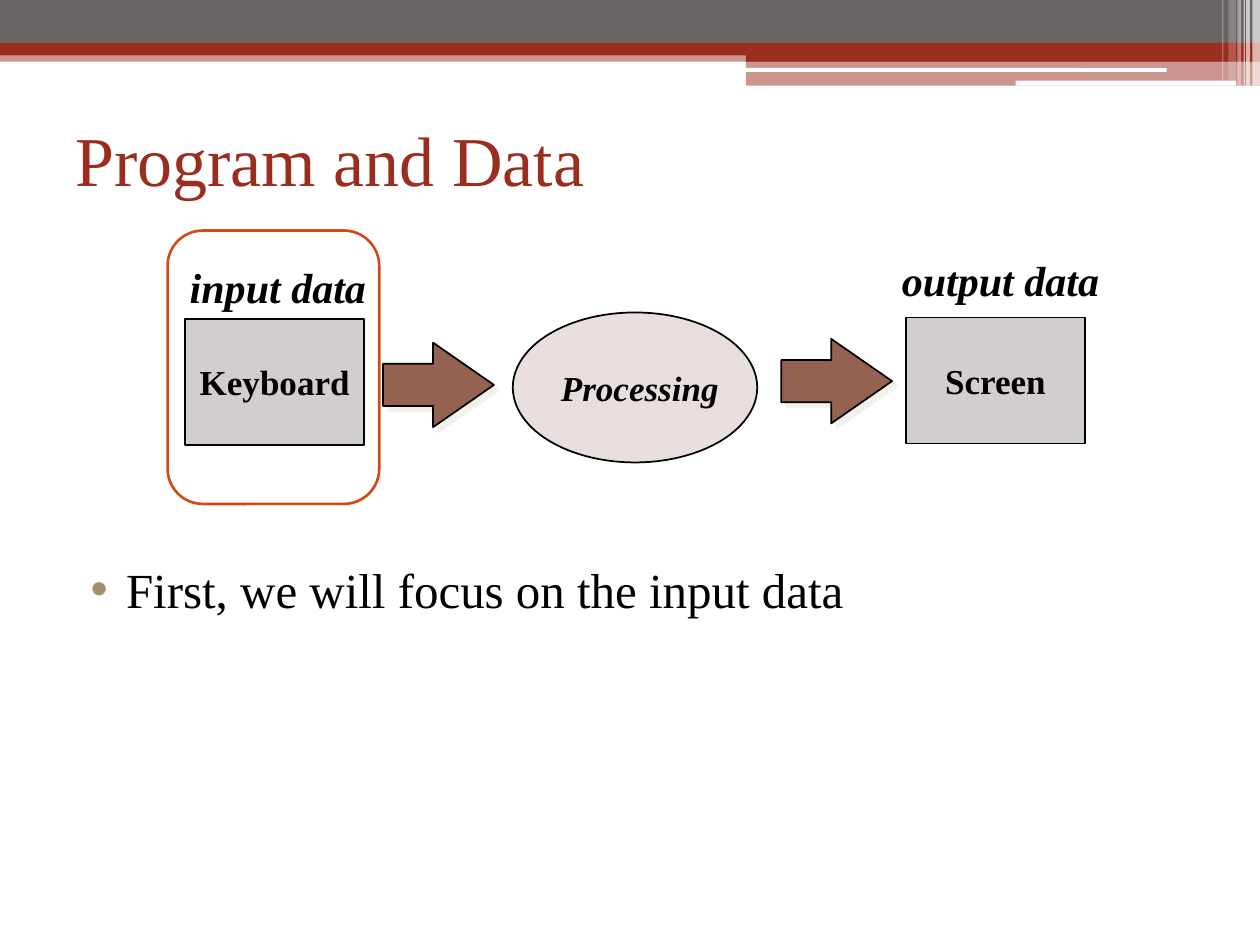
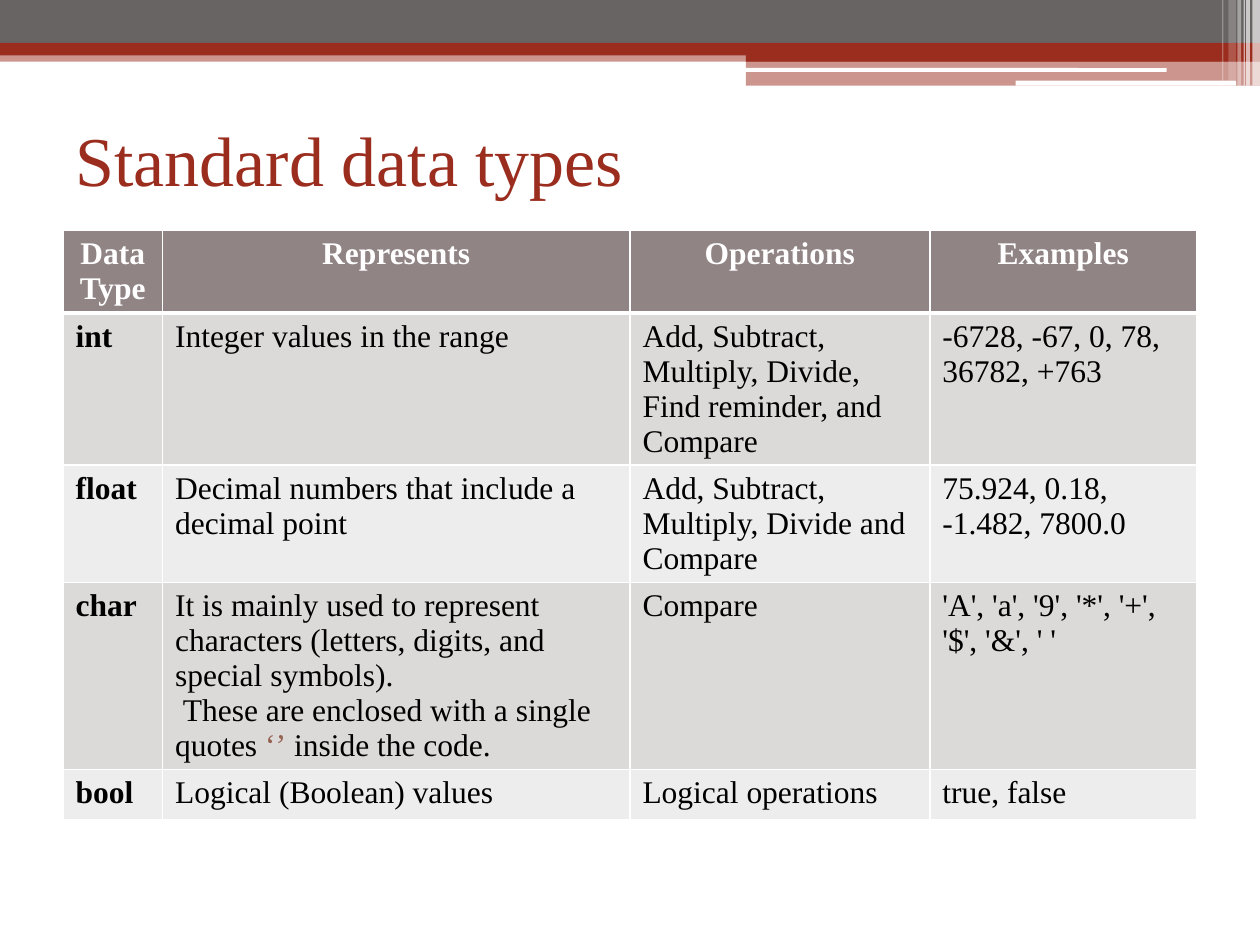
from typing import NamedTuple

from lxml.etree import SubElement
from pptx import Presentation
from pptx.dml.color import RGBColor
from pptx.enum.shapes import MSO_SHAPE
from pptx.enum.text import MSO_ANCHOR, PP_ALIGN
from pptx.oxml.ns import qn
from pptx.util import Inches, Pt

FONT = "Times New Roman"
COLUMNS, ROWS = 100, 75
SLIDE_WIDTH, SLIDE_HEIGHT = Inches(10), Inches(7.5)
RED, GREY, WHITE, BLACK = "9B2D1F", "696464", "FFFFFF", "000000"
TERRACOTTA, ORANGE, SAND, CREAM = "956251", "D34817", "A28E6A", "E9E5DC"
DEVICE_FILL, PROCESS_FILL = "D3CECE", "E8DEDE"
HEADER_FILL, ROW_FILLS = "918485", ("DCD9D9", "EEEDED")


class Box(NamedTuple):
    """A region measured in columns and rows of the slide grid."""
    left: float
    top: float
    width: float
    height: float

    def inner(self, left, top, width, height):
        return Box(self.left + left, self.top + top, width, height)

    def lengths(self):
        column, row = SLIDE_WIDTH / COLUMNS, SLIDE_HEIGHT / ROWS
        return (round(self.left * column), round(self.top * row),
                round(self.width * column), round(self.height * row))


SLIDE = Box(0, 0, COLUMNS, ROWS)
TITLE = SLIDE.inner(5, 6.7, 90, 11.7)
DIAGRAM = SLIDE.inner(13.3, 18.3, 75, 21.7)
FOCUS_LIST = SLIDE.inner(5, 43.9, 90, 26)
TYPE_TABLE = SLIDE.inner(5, 18.3, 90, 46.6)

# left, top, width, height, colour, opacity in percent
BANDS = [
    (0, 4, 100, 0.9, RED, 50),
    (0, 0, 100, 3.4, GREY, 100),
    (0, 3.4, 100, 1, RED, 100),
    (59.2, 3.9, 40.8, 1, RED, 100),
    (59.2, 4.8, 40.8, 2, RED, 50),
]
ROUNDED_LINES = [
    (59.1, 5.4, 33.5, 0.3, WHITE, 100),
    (80.6, 6.4, 17.5, 0.4, WHITE, 100),
]
STRIPES = [
    (99.4, 0, 0.6, 6.8, WHITE, 65),
    (98.9, 0, 0.3, 6.8, WHITE, 65),
    (98.7, 0, 0.1, 6.8, WHITE, 60),
    (98.2, 0, 0.3, 6.8, WHITE, 40),
    (97.5, 0, 0.6, 6.4, WHITE, 20),
    (97, 0, 0.1, 6.4, WHITE, 30),
]

TYPE_COLUMNS = (7.9, 37.1, 23.8, 21.2)
TYPE_ROWS = (6.5, 12, 9.3, 14.8, 4)
TYPE_HEADERS = ("Data Type", "Represents", "Operations", "Examples")
QUOTES = "‘’"
DATA_TYPES = [
    ("int", "Integer values in the range",
     "Add, Subtract, Multiply, Divide, Find reminder, and Compare",
     "-6728, -67, 0, 78, 36782, +763"),
    ("float", "Decimal numbers that include a decimal point",
     "Add, Subtract, Multiply, Divide and Compare",
     "75.924, 0.18, -1.482, 7800.0"),
    ("char",
     "It is mainly used to represent characters (letters, digits, and "
     "special symbols).\n"
     "These are enclosed with a single quotes ‘’ inside the code.",
     "Compare", "'A', 'a', '9', '*', '+', '$', '&', ' '"),
    ("bool", "Logical (Boolean) values", "Logical operations", "true, false"),
]


def rgb(color):
    return RGBColor.from_string(color)


def set_opacity(color_element, percent):
    SubElement(color_element, qn("a:alpha"), val=str(percent * 1000))


def format_font(font, size, color=BLACK, **formats):
    settings = {"name": FONT, "size": Pt(size), **formats}
    for attribute, value in settings.items():
        setattr(font, attribute, value)
    font.color.rgb = rgb(color)


def place(shape, box):
    for side, length in zip(("left", "top", "width", "height"), box.lengths()):
        setattr(shape, side, length)


def add_figure(slide, kind, box, fill=None, line=None, weight=1):
    figure = slide.shapes.add_shape(kind, *box.lengths())
    figure.shadow.inherit = False
    if fill:
        figure.fill.solid()
        figure.fill.fore_color.rgb = rgb(fill)
    else:
        figure.fill.background()
    if line:
        figure.line.color.rgb = rgb(line)
        figure.line.width = Pt(weight)
    else:
        figure.line.fill.background()
    return figure


def write_line(shape, text, size, align=PP_ALIGN.CENTER, **formats):
    frame = shape.text_frame
    frame.word_wrap = False
    paragraph = frame.paragraphs[0]
    paragraph.text = text
    paragraph.alignment = align
    format_font(paragraph.font, size, bold=True, **formats)


def add_master_bands(prs, slide):
    """Draw the top bands on the slide, then move them behind the master."""
    groups = ((MSO_SHAPE.RECTANGLE, BANDS),
              (MSO_SHAPE.ROUNDED_RECTANGLE, ROUNDED_LINES),
              (MSO_SHAPE.RECTANGLE, STRIPES))
    bands = [(kind, band) for kind, group in groups for band in group]
    master_tree = prs.slide_master.shapes.element
    for order, (kind, (*position, color, opacity)) in enumerate(bands):
        band = add_figure(slide, kind, SLIDE.inner(*position), color)
        if opacity < 100:
            set_opacity(band.element.spPr.find(".//" + qn("a:srgbClr")), opacity)
        band.element.nvSpPr.cNvPr.id = 100 + order
        master_tree.insert(2 + order, band.element)


def add_title(slide, text, box):
    title = slide.shapes.title
    place(title, box)
    title.text_frame.vertical_anchor = MSO_ANCHOR.MIDDLE
    paragraph = title.text_frame.paragraphs[0]
    paragraph.text = text
    paragraph.alignment = PP_ALIGN.LEFT
    format_font(paragraph.font, 40, RED)


def add_focus_list(slide, text, box):
    focus = slide.placeholders[1]
    place(focus, box)
    paragraph = focus.text_frame.paragraphs[0]
    paragraph.text = text
    paragraph.alignment = PP_ALIGN.JUSTIFY
    paragraph.space_before = Pt(0)
    properties = paragraph._p.get_or_add_pPr()
    properties.set("marL", str(Inches(0.4)))
    properties.set("indent", str(Inches(-0.28)))
    bullet_color = SubElement(properties, qn("a:buClr"))
    SubElement(bullet_color, qn("a:srgbClr"), val=SAND)
    SubElement(properties, qn("a:buFont"), typeface="Arial")
    SubElement(properties, qn("a:buChar"), char="•")
    format_font(paragraph.font, 28)


def add_device(slide, text, box):
    device = add_figure(slide, MSO_SHAPE.RECTANGLE, box, DEVICE_FILL, BLACK)
    write_line(device, text, 20)


def add_data_label(slide, text, box):
    label = slide.shapes.add_textbox(*box.lengths())
    write_line(label, text, 24, italic=True)


def add_flow_arrow(slide, box):
    arrow = add_figure(slide, MSO_SHAPE.RIGHT_ARROW, box, TERRACOTTA, BLACK)
    arrow.adjustments[1] = 0.72
    effects = arrow.element.spPr.find(qn("a:effectLst"))
    shadow = SubElement(effects, qn("a:outerShdw"), dist=str(Pt(4.2)),
                        dir=str(45 * 60000), algn="ctr", rotWithShape="0")
    set_opacity(SubElement(shadow, qn("a:srgbClr"), val=CREAM), 50)


def add_data_flow(slide, box):
    processing = add_figure(slide, MSO_SHAPE.OVAL,
                            box.inner(27.4, 6.5, 19.4, 11.9), PROCESS_FILL, BLACK)
    write_line(processing, "Processing", 20, PP_ALIGN.LEFT, italic=True)
    add_device(slide, "Keyboard", box.inner(1.4, 7, 14.2, 10))
    add_data_label(slide, "input data", box.inner(0.7, 2, 16.1, 5))
    add_data_label(slide, "output data", box.inner(57.2, 1.4, 17.8, 5))
    for left, top in ((48.7, 8.6), (17.1, 8.9)):
        add_flow_arrow(slide, box.inner(left, top, 8.8, 6.7))
    add_device(slide, "Screen", box.inner(58.6, 6.9, 14.2, 10))
    add_figure(slide, MSO_SHAPE.ROUNDED_RECTANGLE, box.inner(0, 0, 16.8, 21.7),
               line=ORANGE, weight=1.5)


def set_borders(cell, top=1, bottom=1):
    properties = cell._tc.get_or_add_tcPr()
    for side, weight in {"L": 1, "R": 1, "T": top, "B": bottom}.items():
        border = SubElement(properties, qn("a:ln" + side), w=str(Pt(weight)))
        fill = SubElement(border, qn("a:solidFill"))
        SubElement(fill, qn("a:srgbClr"), val=WHITE)


def write_cell(cell, text, color, bold, align):
    """Write one paragraph per line, with the quotation marks in terracotta."""
    frame = cell.text_frame
    for number, line in enumerate(text.split("\n")):
        paragraph = frame.add_paragraph() if number else frame.paragraphs[0]
        paragraph.alignment = align
        if number:
            paragraph._p.get_or_add_pPr().set("indent", str(Pt(4.5)))
        before, quotes, after = line.partition(QUOTES)
        for words, shade in ((before, color), (quotes, TERRACOTTA), (after, color)):
            if words:
                run = paragraph.add_run()
                run.text = words
                format_font(run.font, 18, shade, bold=bold)


def add_type_table(slide, box):
    table = slide.shapes.add_table(len(TYPE_ROWS), len(TYPE_COLUMNS),
                                   *box.lengths()).table
    table.first_row = table.horz_banding = False
    for column, width in zip(table.columns, TYPE_COLUMNS):
        column.width = round(width * SLIDE_WIDTH / COLUMNS)
    for row, height in zip(table.rows, TYPE_ROWS):
        row.height = round(height * SLIDE_HEIGHT / ROWS)
    for r, texts in enumerate([TYPE_HEADERS, *DATA_TYPES]):
        header = r == 0
        for c, text in enumerate(texts):
            cell = table.cell(r, c)
            set_borders(cell, top=3 if r == 1 else 1, bottom=3 if header else 1)
            cell.fill.solid()
            cell.fill.fore_color.rgb = rgb(
                HEADER_FILL if header else ROW_FILLS[(r - 1) % 2])
            write_cell(cell, text, WHITE if header else BLACK,
                       bold=header or c == 0,
                       align=PP_ALIGN.CENTER if header else PP_ALIGN.LEFT)


def build_data_flow_slide(slide):
    add_title(slide, "Program and Data", TITLE)
    add_focus_list(slide, "First, we will focus on the input data", FOCUS_LIST)
    add_data_flow(slide, DIAGRAM)


def build_data_types_slide(slide):
    add_title(slide, "Standard data types", TITLE)
    add_type_table(slide, TYPE_TABLE)


def main():
    prs = Presentation()
    prs.slide_width, prs.slide_height = SLIDE_WIDTH, SLIDE_HEIGHT
    title_and_content = prs.slide_layouts.get_by_name("Title and Content")
    title_only = prs.slide_layouts.get_by_name("Title Only")
    data_flow = prs.slides.add_slide(title_and_content)
    add_master_bands(prs, data_flow)
    build_data_flow_slide(data_flow)
    build_data_types_slide(prs.slides.add_slide(title_only))
    prs.save("out.pptx")


if __name__ == "__main__":
    main()
